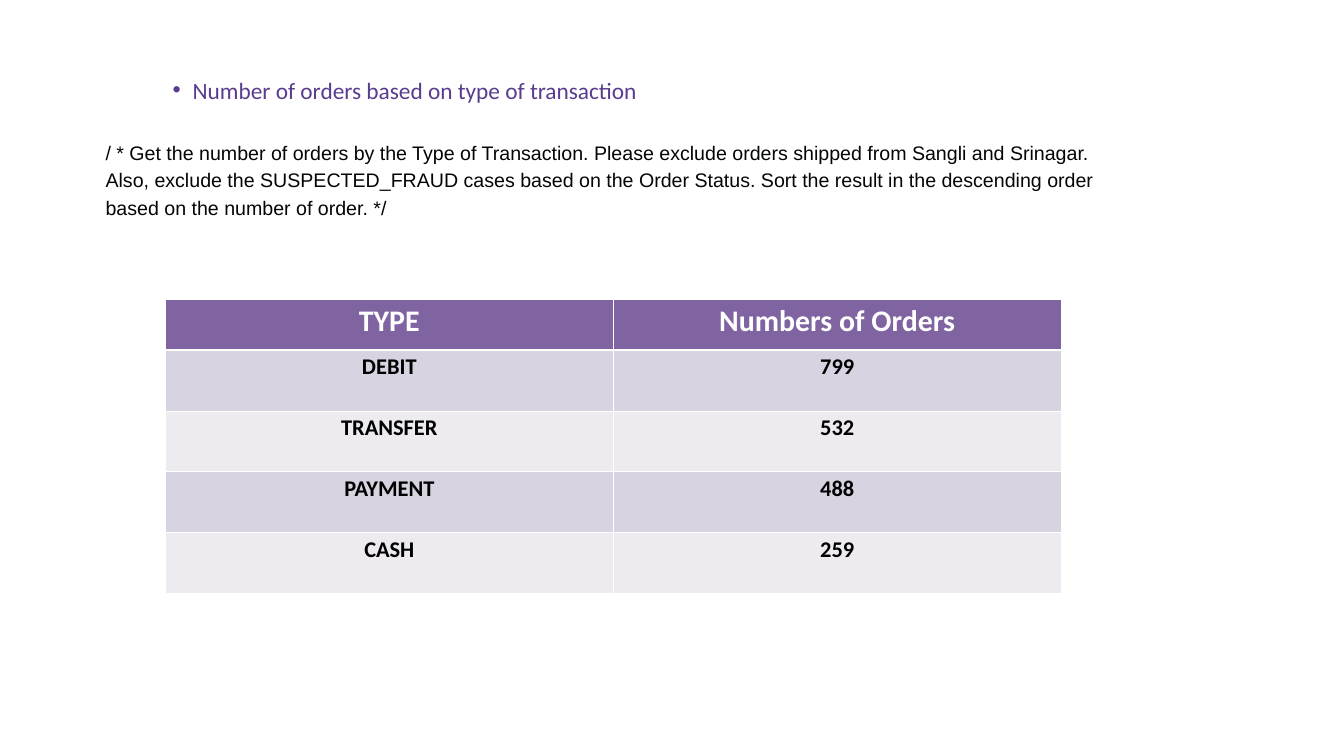
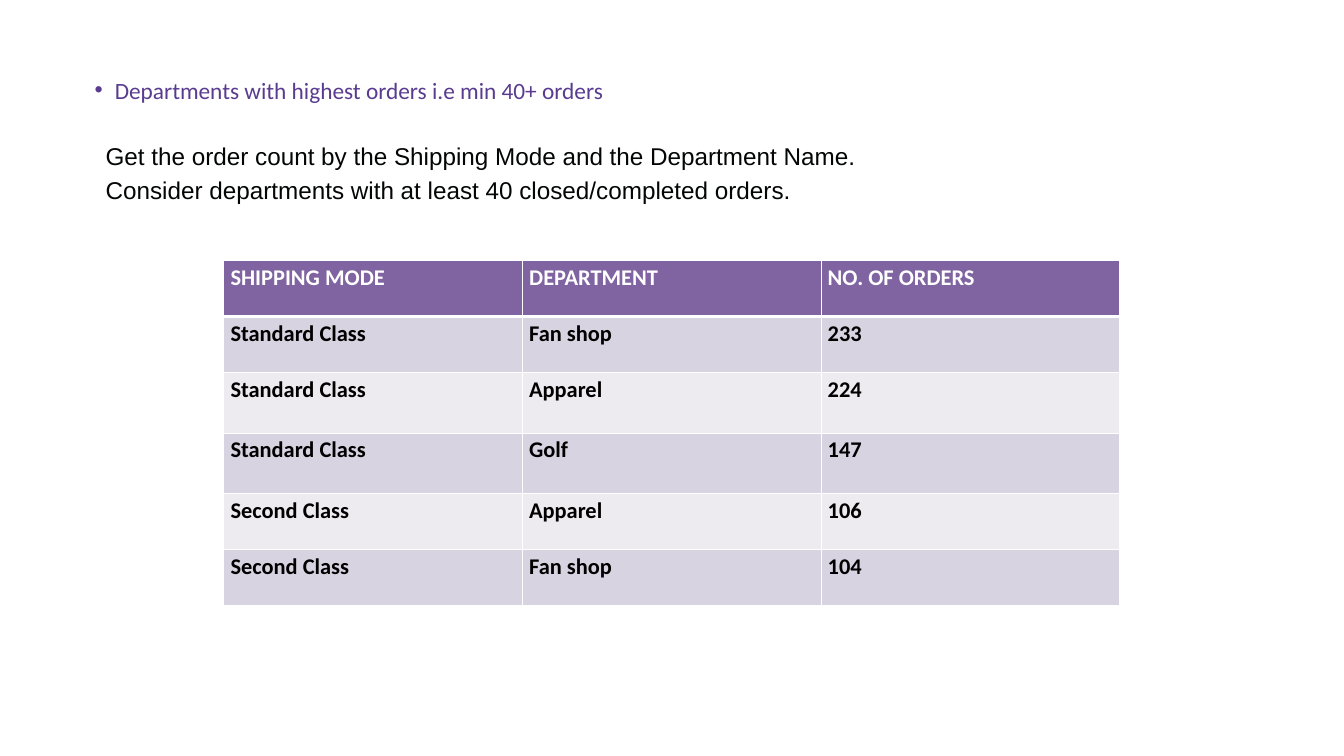
from dataclasses import dataclass

from lxml.etree import SubElement
from pptx import Presentation
from pptx.dml.color import RGBColor as RGB
from pptx.enum.text import MSO_ANCHOR as Anchor, MSO_AUTO_SIZE as AutoSize, PP_ALIGN as Align
from pptx.oxml import parse_xml
from pptx.oxml.ns import nsdecls, qn
from pptx.util import Cm, Pt


@dataclass(frozen=True)
class Theme:
    heading: RGB = RGB.from_string("593C8F")
    question: RGB = RGB.from_string("040606")
    header_fill: RGB = RGB.from_string("8064A2")
    header_text: RGB = RGB.from_string("FFFFFF")
    cell_text: RGB = RGB.from_string("000000")
    bands: tuple = (RGB.from_string("D8D3E0"), RGB.from_string("EDEAF0"))
    border: str = "FFFFFF"
    heading_font: str = "Calibri"
    question_font: str = "Arial"
    heading_size: int = 25
    heading_leading: int = 35
    cell_size: int = 24
    question_leading: float = 1.4


theme = Theme()


def write(frame, text, font, size, color, align, bold=False, leading=None):
    frame.text = text
    for paragraph in frame.paragraphs:
        paragraph.alignment = align
        if leading:
            paragraph.line_spacing = Pt(leading)
            paragraph.space_before = Pt(0)
        for run in paragraph.runs:
            run.font.name = font
            run.font.size = Pt(size)
            run.font.bold = bold
            run.font.color.rgb = color


def place(holder, left, top, width, height):
    holder.left, holder.top, holder.width, holder.height = (
        Cm(left), Cm(top), Cm(width), Cm(height))
    frame = holder.text_frame
    frame.margin_left = frame.margin_top = frame.margin_right = frame.margin_bottom = 0
    frame.word_wrap = True
    frame.auto_size = AutoSize.NONE
    frame.vertical_anchor = Anchor.TOP
    return frame


reports = [
    dict(
        heading="Number of orders based on type of transaction",
        heading_width=24.16,
        heading_align=Align.CENTER,
        question="/ * Get the number of orders by the Type of Transaction. Please exclude "
                 "orders shipped from Sangli and Srinagar. Also, exclude the SUSPECTED_FRAUD "
                 "cases based on the Order Status. Sort the result in the descending order "
                 "based on the number of order. */",
        question_box=(3.99, 5.18, 38.4, 3.07),
        question_size=21,
        table_corner=(6.25, 11.33),
        row_heights=[1.91] + [2.3] * 4,
        header_size=32,
        cell_align=Align.CENTER,
        rows=[
            ("TYPE", "Numbers of Orders"),
            ("DEBIT", "799"),
            ("TRANSFER", "532"),
            ("PAYMENT", "488"),
            ("CASH", "259"),
        ],
    ),
    dict(
        heading="Departments with highest orders i.e min 40+ orders",
        heading_width=28.04,
        heading_align=Align.LEFT,
        question="Get the order count by the Shipping Mode and the Department Name.\n"
                 "Consider departments with at least 40 closed/completed orders.",
        question_box=(3.99, 5.16, 35.33, 2.51),
        question_size=26,
        table_corner=(8.46, 9.86),
        row_heights=[2.11, 2.11, 2.29, 2.29, 2.11, 2.11],
        header_size=24,
        cell_align=Align.LEFT,
        rows=[
            ("SHIPPING MODE", "DEPARTMENT", "NO. OF ORDERS"),
            ("Standard Class", "Fan shop", "233"),
            ("Standard Class", "Apparel", "224"),
            ("Standard Class", "Golf", "147"),
            ("Second Class", "Apparel", "106"),
            ("Second Class", "Fan shop", "104"),
        ],
    ),
]

TABLE_WIDTH = 33.86

deck = Presentation()
deck.slide_width, deck.slide_height = Cm(50.8), Cm(28.58)

for report in reports:
    slide = deck.slides.add_slide(deck.slide_layouts[1])

    heading = place(slide.shapes.title, 2.84, 2.69, report["heading_width"], 1.19)
    write(heading, report["heading"], theme.heading_font, theme.heading_size, theme.heading,
          report["heading_align"], leading=theme.heading_leading)
    bullet = heading.paragraphs[0]._p.get_or_add_pPr()
    bullet.set("marL", str(Cm(1.5)))
    bullet.set("indent", str(Cm(-0.76)))
    SubElement(bullet, qn("a:buFont"), typeface="Arial")
    SubElement(bullet, qn("a:buChar"), char="•")

    question = place(slide.placeholders[1], *report["question_box"])
    size = report["question_size"]
    write(question, report["question"], theme.question_font, size, theme.question,
          Align.LEFT, leading=size * theme.question_leading)
    for paragraph in question.paragraphs:
        plain = paragraph._p.get_or_add_pPr()
        plain.set("marL", "0")
        plain.set("indent", "0")
        SubElement(plain, qn("a:buNone"))

    rows, heights = report["rows"], report["row_heights"]
    left, top = report["table_corner"]
    columns = len(rows[0])
    orders = slide.shapes.add_table(len(rows), columns, Cm(left), Cm(top),
                                    Cm(TABLE_WIDTH), Cm(sum(heights))).table
    for column in orders.columns:
        column.width = Cm(TABLE_WIDTH / columns)

    for r, (values, height) in enumerate(zip(rows, heights)):
        orders.rows[r].height = Cm(height)
        is_header = r == 0
        for c, value in enumerate(values):
            cell = orders.cell(r, c)
            write(cell.text_frame, value, theme.heading_font,
                  report["header_size"] if is_header else theme.cell_size,
                  theme.header_text if is_header else theme.cell_text,
                  report["cell_align"], bold=True)
            cell.fill.solid()
            cell.fill.fore_color.rgb = theme.header_fill if is_header else theme.bands[(r - 1) % 2]
            edges = dict(lnL=1, lnR=1, lnT=3 if r == 1 else 1, lnB=3 if is_header else 1)
            for position, (edge, weight) in enumerate(edges.items()):
                cell._tc.get_or_add_tcPr().insert(position, parse_xml(
                    f'<a:{edge} {nsdecls("a")} w="{Pt(weight)}"><a:solidFill>'
                    f'<a:srgbClr val="{theme.border}"/></a:solidFill></a:{edge}>'))

deck.save("out.pptx")
